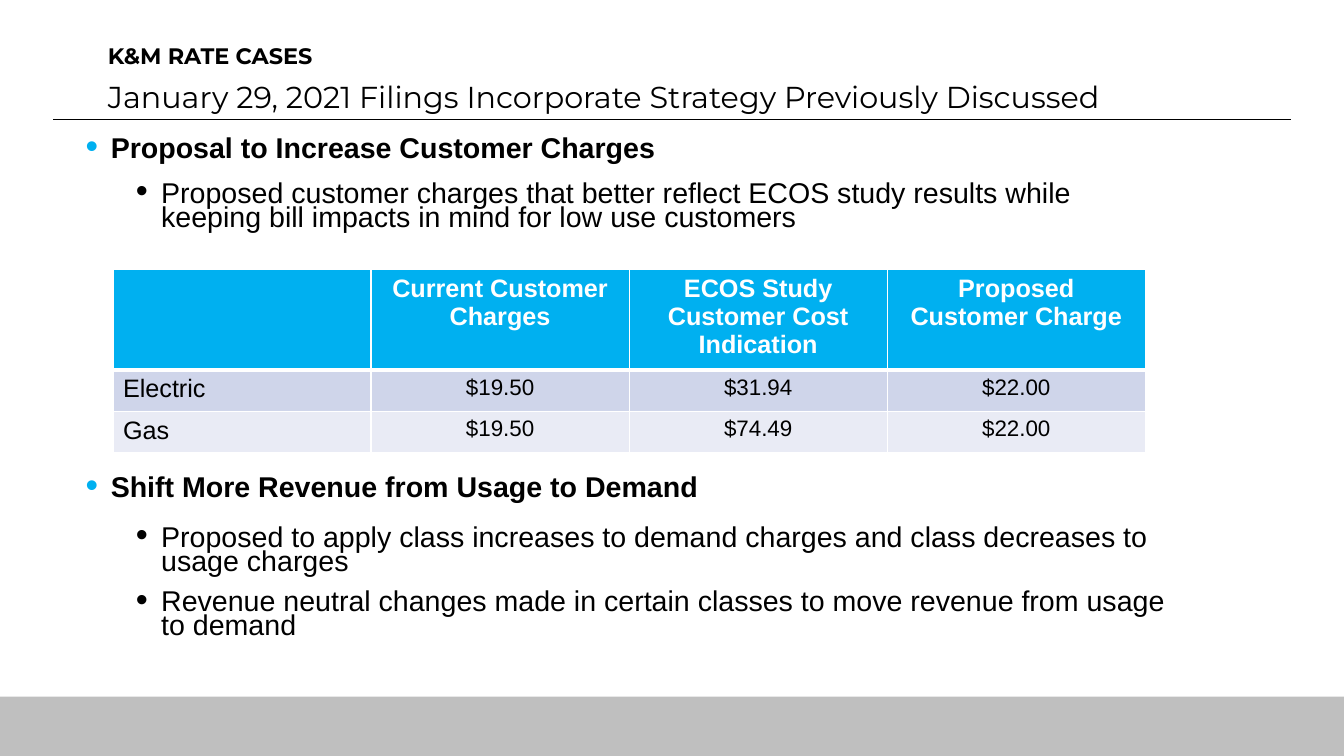
from lxml.etree import SubElement
from pptx import Presentation
from pptx.dml.color import RGBColor
from pptx.enum.shapes import MSO_CONNECTOR, MSO_SHAPE
from pptx.enum.text import MSO_ANCHOR, MSO_AUTO_SIZE, PP_ALIGN
from pptx.oxml.ns import qn
from pptx.util import Inches, Pt

COLORS = {"ink": "000000", "accent": "00B0F0", "white": "FFFFFF",
          "footer": "BFBFBF", "odd": "CFD5EA", "even": "E9EBF5"}
WIDTH, HEIGHT = 13.33, 7.5
HEADING_FONT, BODY_FONT = "Montserrat", "Arial"

KICKER = "K&M RATE CASES"
TITLE = "January 29, 2021 Filings Incorporate Strategy Previously Discussed"
# top, height, space around points (before, after), heading, points
SECTIONS = [
    (1.33, 1.2, (3, 0), "Proposal to Increase Customer Charges",
     ["Proposed customer charges that better reflect ECOS study results while "
      "keeping bill impacts in mind for low use customers"]),
    (4.7, 1.99, (6, 6), "Shift More Revenue from Usage to Demand",
     ["Proposed to apply class increases to demand charges and class "
      "decreases to usage charges",
      "Revenue neutral changes made in certain classes to move revenue from "
      "usage to demand"]),
]
CHARGES = [
    ("", "Current Customer Charges", "ECOS Study Customer Cost Indication",
     "Proposed Customer Charge"),
    ("Electric", "$19.50", "$31.94", "$22.00"),
    ("Gas", "$19.50", "$74.49", "$22.00"),
]
ROW_HEIGHTS = [0.93, 0.41, 0.41]
COLUMN_WIDTH = 2.56


def color(name):
    """Return the named colour."""
    return RGBColor.from_string(COLORS[name])


def style(para, size, font, bold=False, ink="ink"):
    """Format every run of a paragraph."""
    for span in para.runs:
        span.font.size, span.font.name = Pt(size), font
        span.font.bold, span.font.color.rgb = bold, color(ink)


def add_bullet(para, indent, percent, ink):
    """Give a paragraph a hanging round bullet."""
    props = para._p.get_or_add_pPr()
    props.set("marL", str(Inches(indent)))
    props.set("indent", str(Inches(-0.25)))
    SubElement(SubElement(props, qn("a:buClr")), qn("a:srgbClr"), val=COLORS[ink])
    SubElement(props, qn("a:buSzPct"), val=str(percent * 1000))
    SubElement(props, qn("a:buFont"), typeface=BODY_FONT)
    SubElement(props, qn("a:buChar"), char="•")


def fill_heading(box, text, place, size, bold, anchor):
    """Place one line of heading text."""
    box.left, box.top, box.width, box.height = map(Inches, place)
    frame = box.text_frame
    frame.text, frame.word_wrap = text, True
    frame.auto_size, frame.vertical_anchor = MSO_AUTO_SIZE.NONE, anchor
    frame.margin_left = 0
    para = frame.paragraphs[0]
    para.alignment, para.line_spacing = PP_ALIGN.LEFT, 0.9
    style(para, size, HEADING_FONT, bold)


def add_section(page, top, height, spacing, heading, points):
    """Add a bold heading with its bulleted points."""
    box = page.shapes.add_textbox(Inches(0.75), Inches(top), Inches(10.99), Inches(height))
    frame = box.text_frame
    frame.word_wrap = True
    frame.text = "\n".join([heading, *points])
    for index, para in enumerate(frame.paragraphs):
        first = index == 0
        before, after = (0, 12) if first else spacing
        para.line_spacing = 0.7
        para.space_before, para.space_after = Pt(before), Pt(after)
        para.level = 0 if first else 1
        add_bullet(para, *((0.25, 125, "accent") if first else (0.75, 120, "ink")))
        style(para, 20.4, BODY_FONT, bold=first)


def add_borders(cell, bottom):
    """Draw white cell borders with a chosen bottom or top weight."""
    props = cell._tc.get_or_add_tcPr()
    for position, (side, weight) in enumerate(
            {"lnL": 1, "lnR": 1, "lnT": bottom[0], "lnB": bottom[1]}.items()):
        line = SubElement(props, qn("a:" + side), w=str(Pt(weight)))
        fill = SubElement(line, qn("a:solidFill"))
        SubElement(fill, qn("a:srgbClr"), val=COLORS["white"])
        props.remove(line)
        props.insert(position, line)


def add_charges(page):
    """Add the table of customer charges."""
    columns = len(CHARGES[0])
    table = page.shapes.add_table(
        len(CHARGES), columns, Inches(1.12), Inches(2.67),
        Inches(COLUMN_WIDTH * columns), Inches(sum(ROW_HEIGHTS))).table
    for column in table.columns:
        column.width = Inches(COLUMN_WIDTH)
    fills = ["accent", "odd", "even"]
    weights = [(1, 3), (3, 1), (1, 1)]
    for r, values in enumerate(CHARGES):
        table.rows[r].height = Inches(ROW_HEIGHTS[r])
        for c, value in enumerate(values):
            cell = table.cell(r, c)
            cell.text = value
            cell.fill.solid()
            cell.fill.fore_color.rgb = color(fills[r])
            add_borders(cell, weights[r])
            para = cell.text_frame.paragraphs[0]
            para.alignment = PP_ALIGN.CENTER if c else PP_ALIGN.LEFT
            header = r == 0
            style(para, 18 if header or c == 0 else 16, BODY_FONT, header,
                  "white" if header else "ink")


deck = Presentation()
deck.slide_width, deck.slide_height = Inches(WIDTH), Inches(HEIGHT)
page = deck.slides.add_slide(deck.slide_layouts[5])

rule = page.shapes.add_connector(
    MSO_CONNECTOR.STRAIGHT, Inches(0.53), Inches(1.18), Inches(12.8), Inches(1.18))
rule.line.color.rgb, rule.line.width = color("ink"), Pt(0.25)
SubElement(rule._element.spPr, qn("a:effectLst"))

footer = page.shapes.add_shape(
    MSO_SHAPE.RECTANGLE, 0, Inches(6.91), Inches(WIDTH), Inches(HEIGHT - 6.91))
footer.shadow.inherit = False
footer.fill.solid()
footer.fill.fore_color.rgb = color("footer")
footer.line.fill.background()

kicker = page.shapes.add_textbox(0, 0, 0, 0)
fill_heading(kicker, KICKER, (1.07, 0.4, 12.26, 0.37), 16, True, MSO_ANCHOR.TOP)
fill_heading(page.shapes.title, TITLE, (1.07, 0.74, 12.26, 0.48), 21.6, False,
             MSO_ANCHOR.MIDDLE)
for section in SECTIONS:
    add_section(page, *section)
add_charges(page)

deck.save("out.pptx")
